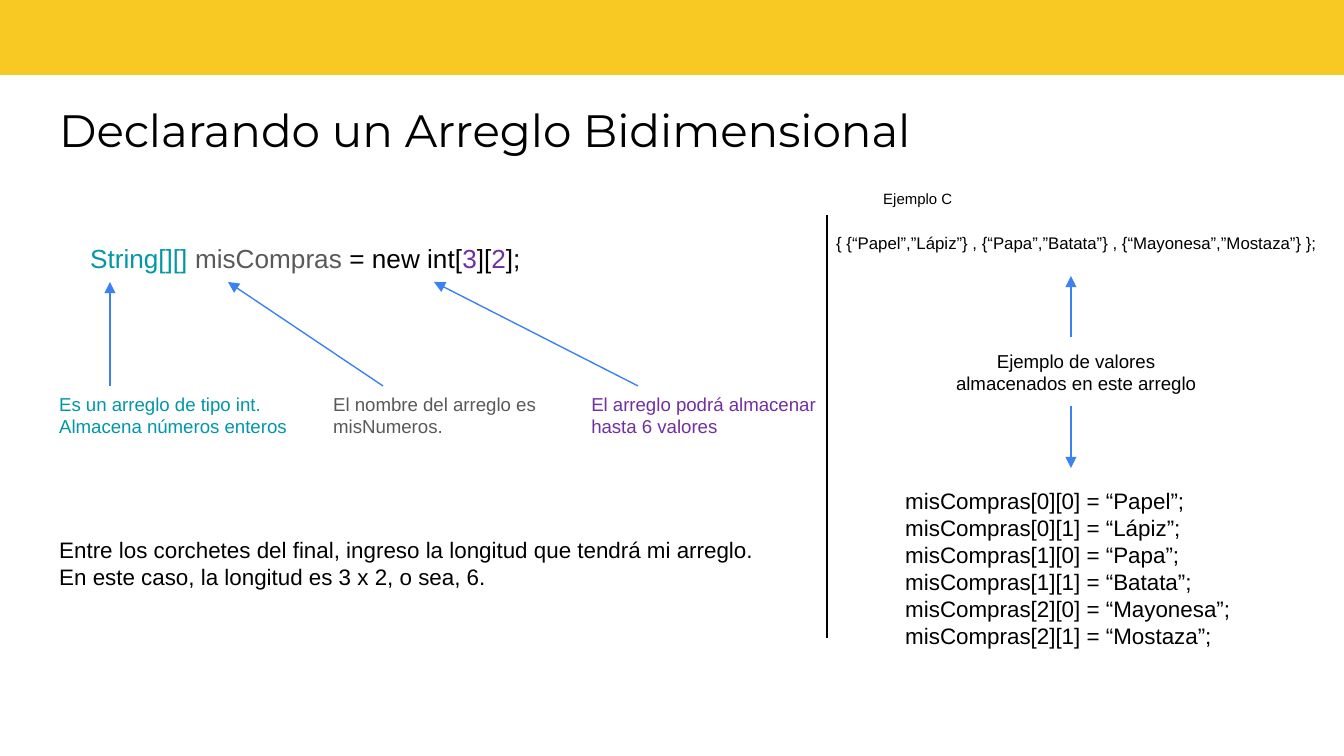
from collections import namedtuple

from lxml import etree
from pptx import Presentation
from pptx.dml.color import RGBColor
from pptx.enum.shapes import MSO_CONNECTOR, MSO_SHAPE
from pptx.enum.text import MSO_ANCHOR, PP_ALIGN
from pptx.oxml.ns import qn
from pptx.util import Emu, Pt

STRAIGHT = MSO_CONNECTOR.STRAIGHT
RECTANGLE = MSO_SHAPE.RECTANGLE
TOP, MIDDLE = MSO_ANCHOR.TOP, MSO_ANCHOR.MIDDLE
LEFT, CENTER = PP_ALIGN.LEFT, PP_ALIGN.CENTER

EMU_PER_PX = 914400 / 134.4
WIDTH, HEIGHT = 1344, 756
BLACK, YELLOW, BLUE = "000000", "F8C823", "3C81F3"
TEAL, GRAY, PURPLE = "0097A7", "595959", "7030A0"

Box = namedtuple("Box", "left top width height")


def px(length):
    return Emu(round(length * EMU_PER_PX))


def rgb(color):
    return RGBColor.from_string(color)


def inside(box, left, top, width, height):
    return Box(box.left + left, box.top + top, width, height)


def write_text(page, box, paras, *, size, color=BLACK, font="Arial",
               align=LEFT, anchor=TOP, wrap=True):
    frame = page.shapes.add_textbox(*map(px, box)).text_frame
    frame.word_wrap = wrap
    frame.vertical_anchor = anchor
    for index, spans in enumerate(paras):
        para = frame.paragraphs[0] if index == 0 else frame.add_paragraph()
        para.alignment = align
        if isinstance(spans, str):
            spans = [(spans, color)]
        for text, span_color in spans:
            span = para.add_run()
            span.text = text
            span.font.name = font
            span.font.size = Pt(size)
            span.font.color.rgb = rgb(span_color)


def draw_line(page, box, start, end, color=BLUE, arrow=True):
    points = [box.left + start[0], box.top + start[1],
              box.left + end[0], box.top + end[1]]
    line = page.shapes.add_connector(STRAIGHT, *map(px, points))
    line.line.color.rgb = rgb(color)
    line.line.width = Pt(0.75)
    if arrow:
        outline = line.line._get_or_add_ln()
        etree.SubElement(outline, qn("a:tailEnd"), type="triangle")
    etree.SubElement(line._element.spPr, qn("a:effectLst"))


def add_header(page, box):
    band = page.shapes.add_shape(
        RECTANGLE, *map(px, inside(box, 0, 0, box.width, 75)))
    band.shadow.inherit = False
    band.fill.solid()
    band.fill.fore_color.rgb = rgb(YELLOW)
    band.line.fill.background()
    write_text(page, inside(box, 46, 87, 1250, 85),
               ["Declarando un Arreglo Bidimensional"],
               size=24.3, font="Montserrat", anchor=MIDDLE)


def add_declaration(page, box):
    code = [("String[][] ", TEAL), ("misCompras", GRAY),
            (" = new int[", BLACK), ("3", PURPLE), ("][", BLACK),
            ("2", PURPLE), ("];", BLACK)]
    write_text(page, inside(box, 31, 0, 532, 44), [code], size=14)
    notes = [
        (0, 280, 64, 64, TEAL,
         ["Es un arreglo de tipo int.", "Almacena números enteros"]),
        (274, 231, 337, 182, GRAY,
         ["El nombre del arreglo es", "misNumeros."]),
        (532, 266, 592, 388, PURPLE,
         ["El arreglo podrá almacenar hasta 6 valores"]),
    ]
    for left, width, start, end, color, paras in notes:
        draw_line(page, box, (start, 150), (end, 46))
        write_text(page, inside(box, left, 150, width, 59), paras,
                   size=10, color=color)
    write_text(page, inside(box, 0, 294, 746, 67),
               ["Entre los corchetes del final, ingreso la longitud que tendrá "
                "mi arreglo. En este caso, la longitud es 3 x 2, o sea, 6."],
               size=12)


def add_example(page, box):
    rows = [("Papel", "Lápiz"), ("Papa", "Batata"), ("Mayonesa", "Mostaza")]
    literal = " , ".join(f"{{“{first}”,”{second}”}}" for first, second in rows)
    cells = [f"misCompras[{i}][{j}] = “{value}”;"
             for i, row in enumerate(rows) for j, value in enumerate(row)]
    write_text(page, inside(box, 47, 0, 97, 32), ["Ejemplo C"],
               size=8, wrap=False)
    draw_line(page, box, (4, 32), (4, 455), color=BLACK, arrow=False)
    write_text(page, inside(box, 0, 43, 512, 34), [f"{{ {literal} }};"],
               size=9, wrap=False)
    draw_line(page, box, (248, 154), (248, 93))
    write_text(page, inside(box, 115, 160, 276, 59),
               ["Ejemplo de valores almacenados en este arreglo"],
               size=10, align=CENTER)
    draw_line(page, box, (248, 223), (248, 285))
    write_text(page, inside(box, 69, 298, 355, 176), cells,
               size=12, wrap=False)


def main():
    deck = Presentation()
    deck.slide_width, deck.slide_height = px(WIDTH), px(HEIGHT)
    page = deck.slides.add_slide(deck.slide_layouts[6])
    add_header(page, Box(0, 0, WIDTH, 172))
    add_declaration(page, Box(46, 236, 798, 361))
    add_example(page, Box(823, 183, 512, 474))
    deck.save("out.pptx")


if __name__ == "__main__":
    main()
